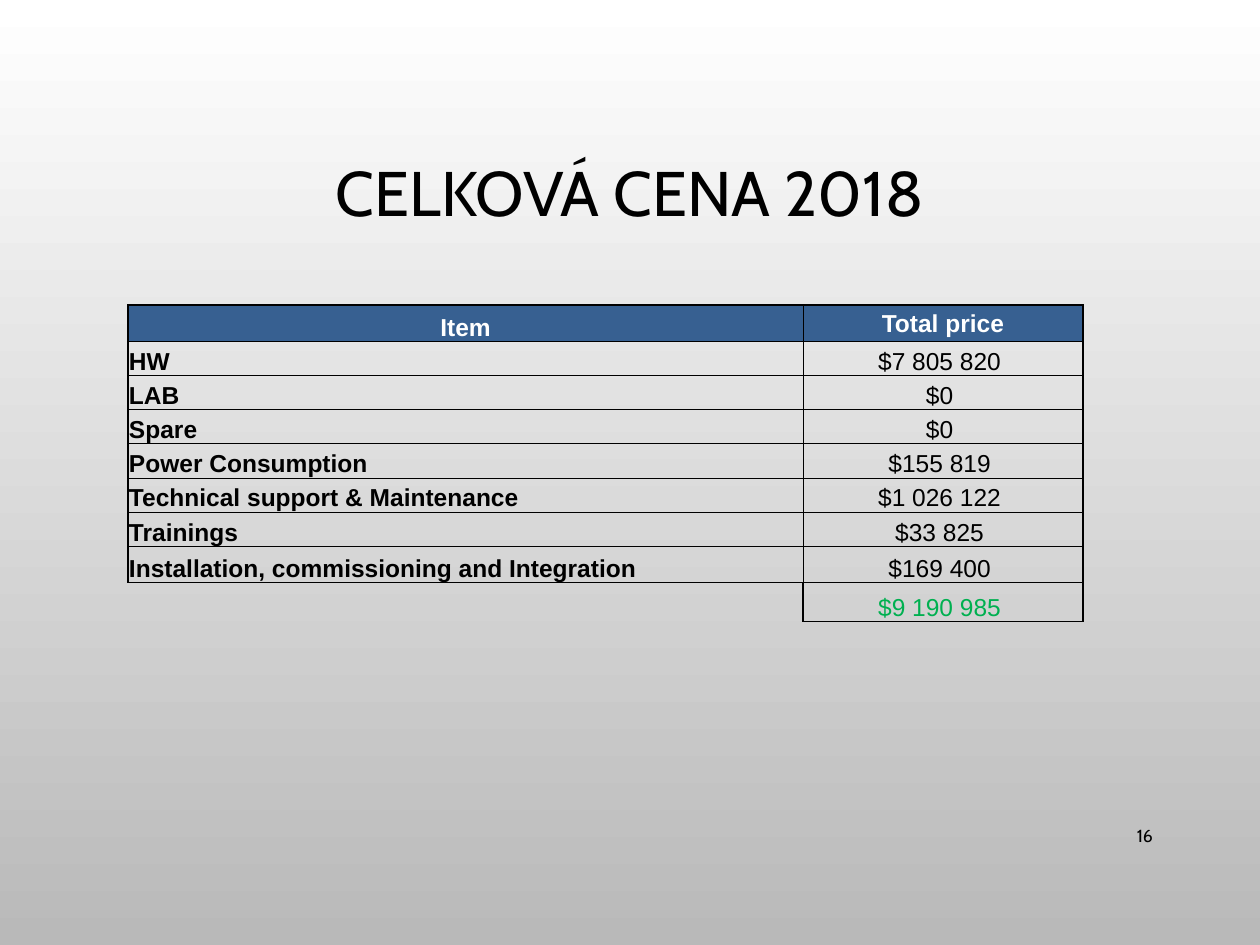
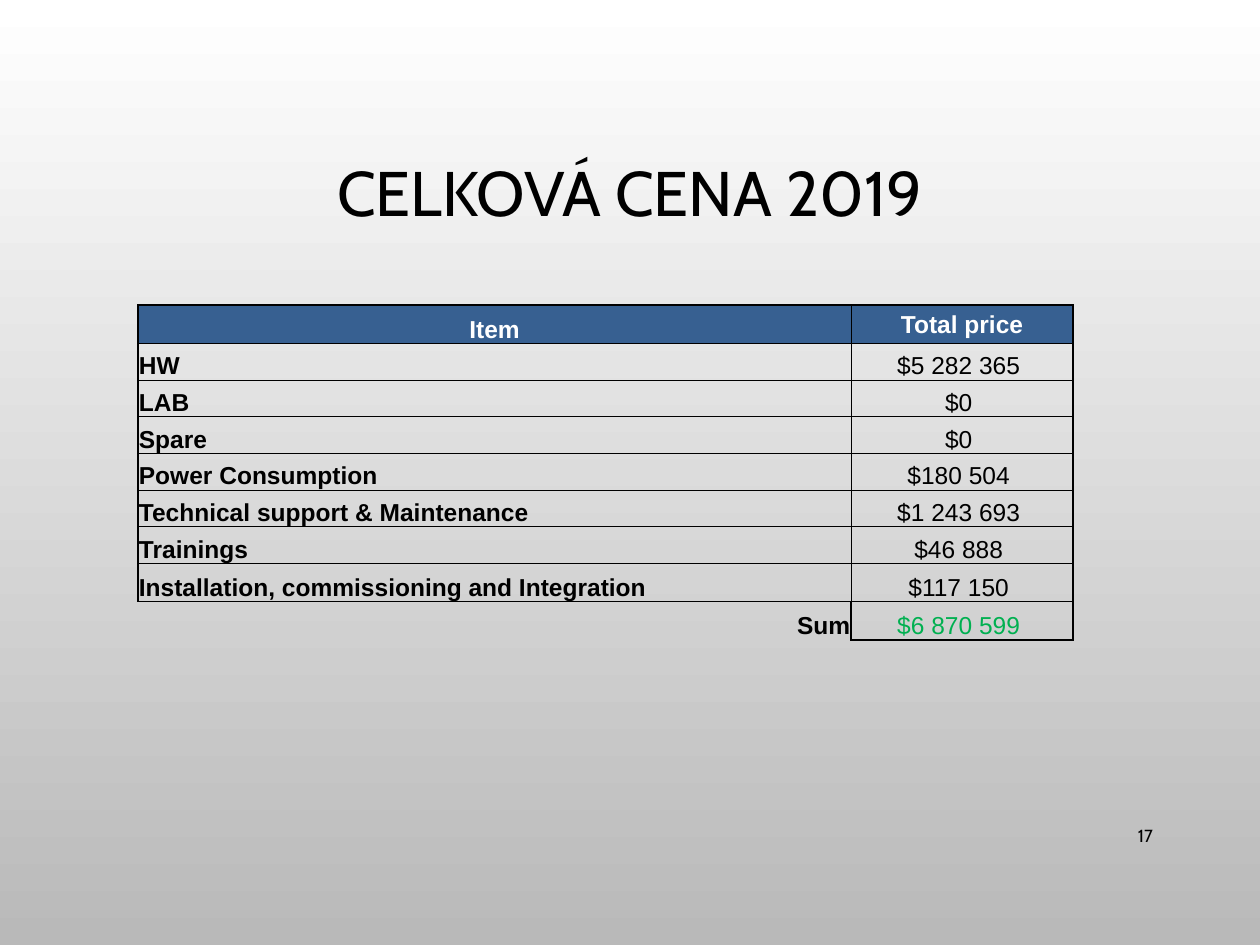
from lxml.etree import SubElement
from pptx import Presentation
from pptx.dml.color import RGBColor
from pptx.enum.text import MSO_ANCHOR, PP_ALIGN
from pptx.oxml.ns import qn
from pptx.util import Cm, Pt

BLACK = RGBColor(0x00, 0x00, 0x00)
WHITE = RGBColor(0xFF, 0xFF, 0xFF)
GREY = RGBColor(0xB9, 0xB9, 0xB9)
BLUE = RGBColor(0x37, 0x60, 0x91)
GREEN = RGBColor(0x00, 0xB0, 0x50)
TITLE_FONT = "Cabin"
TABLE_FONT = "Arial"
THICK, THIN = Pt(1), Pt(0.5)

ITEMS = ["HW", "LAB", "Spare", "Power Consumption", "Technical support & Maintenance",
         "Trainings", "Installation, commissioning and Integration"]
TOTAL_ROW = len(ITEMS) + 1

YEARS = [
    dict(title="CELKOVÁ CENA 2018", page="16", sum_label="", total="$9 190 985",
         prices=["$7 805 820", "$0", "$0", "$155 819", "$1 026 122", "$33 825", "$169 400"],
         left=Cm(2.58), widths=(Cm(13.61), Cm(5.64)),
         edge_height=Cm(0.73), item_height=Cm(0.69)),
    dict(title="CELKOVÁ CENA 2019", page="17", sum_label="Sum", total="$6 870 599",
         prices=["$5 282 365", "$0", "$0", "$180 504", "$1 243 693", "$46 888", "$117 150"],
         left=Cm(2.78), widths=(Cm(14.38), Cm(4.47)),
         edge_height=Cm(0.77), item_height=Cm(0.74)),
]


def write(frame, text, font=TABLE_FONT, size=14, color=BLACK, bold=False,
          align=PP_ALIGN.CENTER, spacing=None):
    paragraph = frame.paragraphs[0]
    paragraph.alignment = align
    paragraph.line_spacing = spacing
    run = paragraph.add_run()
    run.text = text
    run.font.name = font
    run.font.size = Pt(size)
    run.font.bold = bold
    run.font.color.rgb = color


def add_label(slide, text, left, top, width, height, **text_format):
    frame = slide.shapes.add_textbox(left, top, width, height).text_frame
    frame.word_wrap = True
    frame.vertical_anchor = MSO_ANCHOR.MIDDLE
    write(frame, text, font=TITLE_FONT, **text_format)


def paint_background(slide):
    fill = slide.background.fill
    fill.gradient()
    fill.gradient_angle = 270
    for stop, color in zip(fill.gradient_stops, (WHITE, GREY)):
        stop.color.rgb = color


def horizontal_weight(line, column):
    if line > TOTAL_ROW:
        return THICK if column else None
    if line == TOTAL_ROW:
        return THIN if column else THICK
    return THICK if line < 2 else THIN


def vertical_weight(row, line):
    if row == TOTAL_ROW:
        return THICK if line else None
    return THIN if line == 1 else THICK


def draw_borders(cell, row, column):
    weights = {"a:lnL": vertical_weight(row, column),
               "a:lnR": vertical_weight(row, column + 1),
               "a:lnT": horizontal_weight(row, column),
               "a:lnB": horizontal_weight(row + 1, column)}
    properties = cell._tc.get_or_add_tcPr()
    for position, (side, weight) in enumerate(weights.items()):
        border = SubElement(properties, qn(side), w=str(weight or 0))
        if weight:
            ink = SubElement(border, qn("a:solidFill"))
            SubElement(ink, qn("a:srgbClr"), val=str(BLACK))
        else:
            SubElement(border, qn("a:noFill"))
        properties.insert(position, border)


def fill_cell(table, row, column, text, background=None, anchor=MSO_ANCHOR.BOTTOM,
              **text_format):
    cell = table.cell(row, column)
    cell.margin_left = cell.margin_right = cell.margin_top = Cm(0.02)
    cell.margin_bottom = 0
    cell.vertical_anchor = anchor
    if background:
        cell.fill.solid()
        cell.fill.fore_color.rgb = background
    else:
        cell.fill.background()
    draw_borders(cell, row, column)
    write(cell.text_frame, text, **text_format)


def add_price_table(slide, prices, sum_label, total, left, widths, edge_height, item_height):
    heights = [edge_height] + [item_height] * (len(ITEMS) - 1) + [edge_height] * 2
    table = slide.shapes.add_table(len(heights), len(widths), left, Cm(6.15),
                                   sum(widths), sum(heights)).table
    table.first_row = table.horz_banding = False
    for column, width in zip(table.columns, widths):
        column.width = width
    for row, height in zip(table.rows, heights):
        row.height = height

    header = dict(background=BLUE, color=WHITE, bold=True)
    fill_cell(table, 0, 0, "Item", **header)
    fill_cell(table, 0, 1, "Total price", anchor=MSO_ANCHOR.MIDDLE, **header)
    for row, (item, price) in enumerate(zip(ITEMS, prices), start=1):
        fill_cell(table, row, 0, item, bold=True, align=PP_ALIGN.LEFT)
        fill_cell(table, row, 1, f"{price} ")
    fill_cell(table, TOTAL_ROW, 0, sum_label, bold=True, align=PP_ALIGN.RIGHT)
    fill_cell(table, TOTAL_ROW, 1, f"{total} ", color=GREEN)


def add_year(deck, title, page, **prices):
    slide = deck.slides.add_slide(deck.slide_layouts[6])
    paint_background(slide)
    add_label(slide, title, Cm(1.9), Cm(1.73), Cm(21.59), Cm(4.45), size=36, spacing=0.9)
    add_label(slide, page, Cm(21.89), Cm(16.33), Cm(1.6), Cm(1.02), size=10,
              align=PP_ALIGN.RIGHT)
    add_price_table(slide, **prices)


def main():
    deck = Presentation()
    deck.slide_width, deck.slide_height = Cm(25.4), Cm(19.05)
    for year in YEARS:
        add_year(deck, **year)
    deck.save("out.pptx")


if __name__ == "__main__":
    main()
